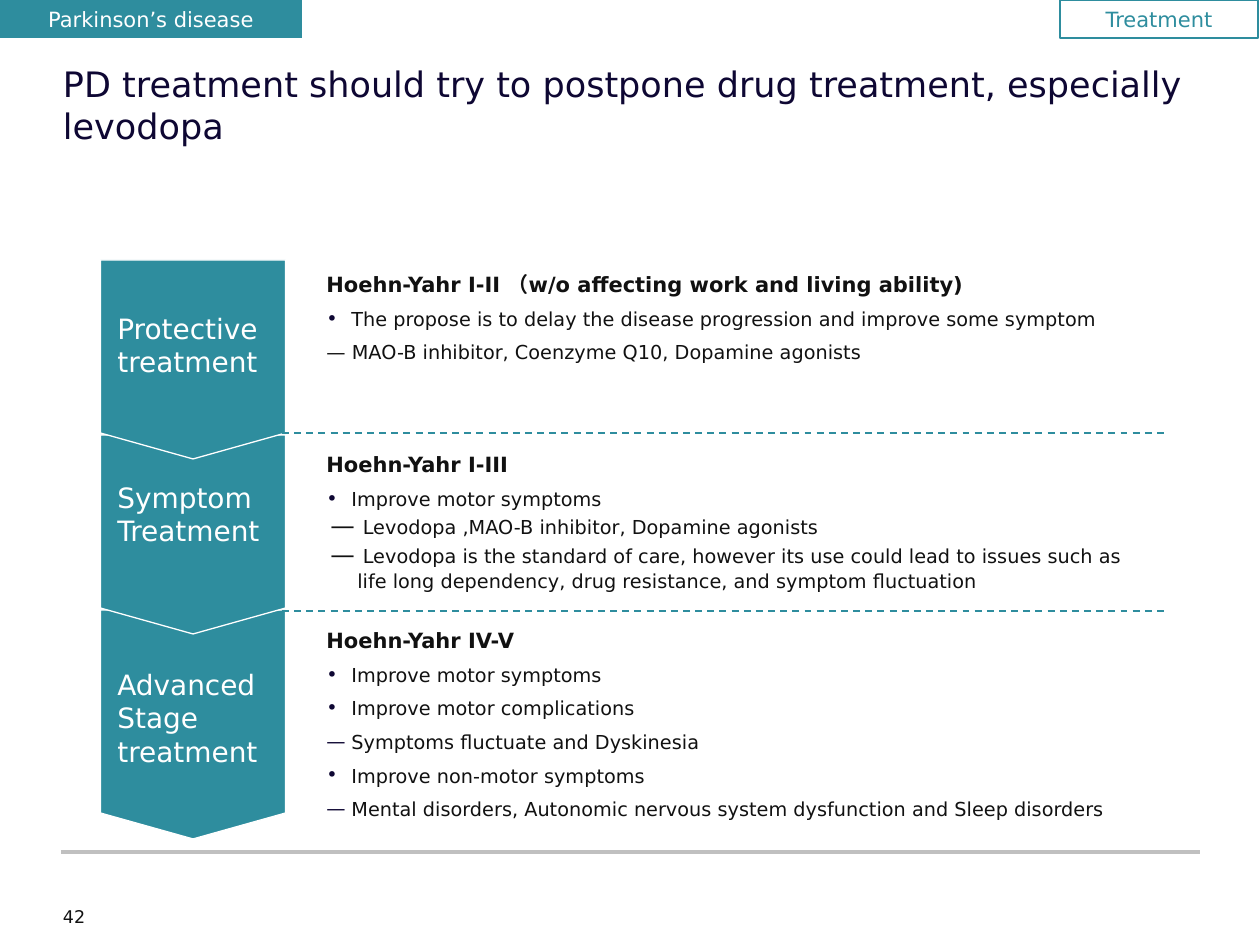
from dataclasses import dataclass

from lxml.etree import SubElement
from pptx import Presentation
from pptx.dml.color import RGBColor as RGB
from pptx.enum.dml import MSO_LINE as Dash
from pptx.enum.shapes import MSO_CONNECTOR as Conn, MSO_SHAPE as Shape
from pptx.enum.text import MSO_ANCHOR as Anchor, PP_ALIGN as Align
from pptx.oxml.ns import qn
from pptx.util import Pt

PX = 914400 / 126


@dataclass(frozen=True)
class Theme:
    font: str = "DejaVu Sans"
    teal: RGB = RGB.from_string("2E8D9E")
    navy: RGB = RGB.from_string("0E0733")
    ink: RGB = RGB.from_string("111111")
    white: RGB = RGB.from_string("FFFFFF")
    gray: RGB = RGB.from_string("C0C0C0")
    title: int = 20
    stage: int = 16
    dash: int = 14
    head: int = 12
    body: int = 11
    page: int = 10


T = Theme()


def px(*vals):
    return [round(v * PX) for v in vals]


def write(para, text, size, color, bold=False):
    run = para.add_run()
    run.text = text
    font = run.font
    font.name, font.size, font.bold = T.font, Pt(size), bold
    font.color.rgb = color


prs = Presentation()
prs.slide_width, prs.slide_height = px(1260, 945)
slide = prs.slides.add_slide(prs.slide_layouts[6])
shapes = slide.shapes

# Title and page number
for box, text, size, color in [
    ((63, 906, 60, 25), "42", T.page, T.ink),
    ((63, 63, 1134, 126),
     "PD treatment should try to postpone drug treatment, especially levodopa",
     T.title, T.navy),
]:
    frame = shapes.add_textbox(*px(*box)).text_frame
    frame.word_wrap = True
    frame.margin_left = frame.margin_right = 0
    frame.margin_top = frame.margin_bottom = 0
    write(frame.paragraphs[0], text, size, color)

# Stage arrows, lowest first so that each tip overlaps the next arrow
WIDE, TOP, STEP = 185, 260, 175
for i, tall in reversed(list(enumerate([199, 199, 229]))):
    mid = TOP + i * STEP + tall / 2
    arrow = shapes.add_shape(
        Shape.PENTAGON, *px(193 - tall / 2, mid - WIDE / 2, tall, WIDE))
    arrow.rotation = 90
    arrow.adjustments[0] = 0.14
    arrow.shadow.inherit = False
    arrow.fill.solid()
    arrow.fill.fore_color.rgb = T.teal
    arrow.line.color.rgb = T.white
    arrow.line.width = Pt(0.75)

# Stage names
for y, wide, name in [
    (305, 208, "Protective treatment"),
    (474, 198, "Symptom Treatment"),
    (661, 169, "Advanced Stage treatment"),
]:
    frame = shapes.add_textbox(*px(105, y, wide, 115)).text_frame
    frame.word_wrap = True
    write(frame.paragraphs[0], name, T.stage, T.white)

# Footer rule and stage dividers
for x1, x2, y, color, width, dash in [
    (61, 1200, 852, T.gray, 2, None),
    (282, 1166, 611, T.teal, 1, Dash.DASH),
    (282, 1166, 433, T.teal, 1, Dash.DASH),
]:
    rule = shapes.add_connector(Conn.STRAIGHT, *px(x1, y, x2, y))
    rule.line.color.rgb = color
    rule.line.width = Pt(width)
    rule.line.dash_style = dash
    SubElement(rule._element.spPr, qn("a:effectLst"))

# Stage details: (mark, text); "" is a plain line, "dash" a typed wide dash
notes = [
    (265, 173, "Hoehn-Yahr I-II （w/o affecting work and living ability)", [
        ("•", "The propose is to delay the disease progression and improve some symptom"),
        ("", "— MAO-B inhibitor, Coenzyme Q10, Dopamine agonists"),
    ]),
    (445, 209, "Hoehn-Yahr I-III", [
        ("•", "Improve motor symptoms"),
        ("dash", "Levodopa ,MAO-B inhibitor, Dopamine agonists"),
        ("dash", "Levodopa is the standard of care, however its use could lead to "
                 "issues such as life long dependency, drug resistance, and symptom fluctuation"),
    ]),
    (621, 241, "Hoehn-Yahr IV-V", [
        ("•", "Improve motor symptoms"),
        ("•", "Improve motor complications"),
        ("—", "Symptoms fluctuate and Dyskinesia"),
        ("•", "Improve non-motor symptoms"),
        ("—", "Mental disorders, Autonomic nervous system dysfunction and Sleep disorders"),
    ]),
]
for y, tall, head, lines in notes:
    frame = shapes.add_textbox(*px(302, y, 853, tall)).text_frame
    frame.word_wrap = True
    for i, (mark, text) in enumerate([("", head)] + lines):
        para = frame.add_paragraph() if i else frame.paragraphs[0]
        props = para._p.get_or_add_pPr()
        left, hang = px(43, -27) if mark == "dash" else px(37, -25)
        props.set("marL", str(left))
        props.set("indent", str(hang))
        if mark in ("•", "—"):
            tint = SubElement(props, qn("a:buClr"))
            SubElement(tint, qn("a:srgbClr")).set("val", str(T.navy))
            SubElement(props, qn("a:buFont")).set("typeface", T.font)
            SubElement(props, qn("a:buChar")).set("char", mark)
        if i and mark != "dash":
            para.space_before = Pt(6)
        if mark == "dash":
            write(para, "— ", T.dash, T.ink)
        write(para, text, T.body if i else T.head, T.ink, bold=not i)

# Corner tags
for x, wide, text, fill, color in [
    (1060, 198, "Treatment", None, T.teal),
    (0, 302, "Parkinson’s disease", T.teal, T.white),
]:
    tag = shapes.add_shape(Shape.RECTANGLE, *px(x, 0, wide, 38))
    tag.shadow.inherit = False
    if fill:
        tag.fill.solid()
        tag.fill.fore_color.rgb = fill
        tag.line.fill.background()
    else:
        tag.fill.background()
        tag.line.color.rgb = color
        tag.line.width = Pt(0.75)
    tag.text_frame.vertical_anchor = Anchor.MIDDLE
    para = tag.text_frame.paragraphs[0]
    para.alignment = Align.CENTER
    write(para, text, T.head, color)

prs.save("out.pptx")
